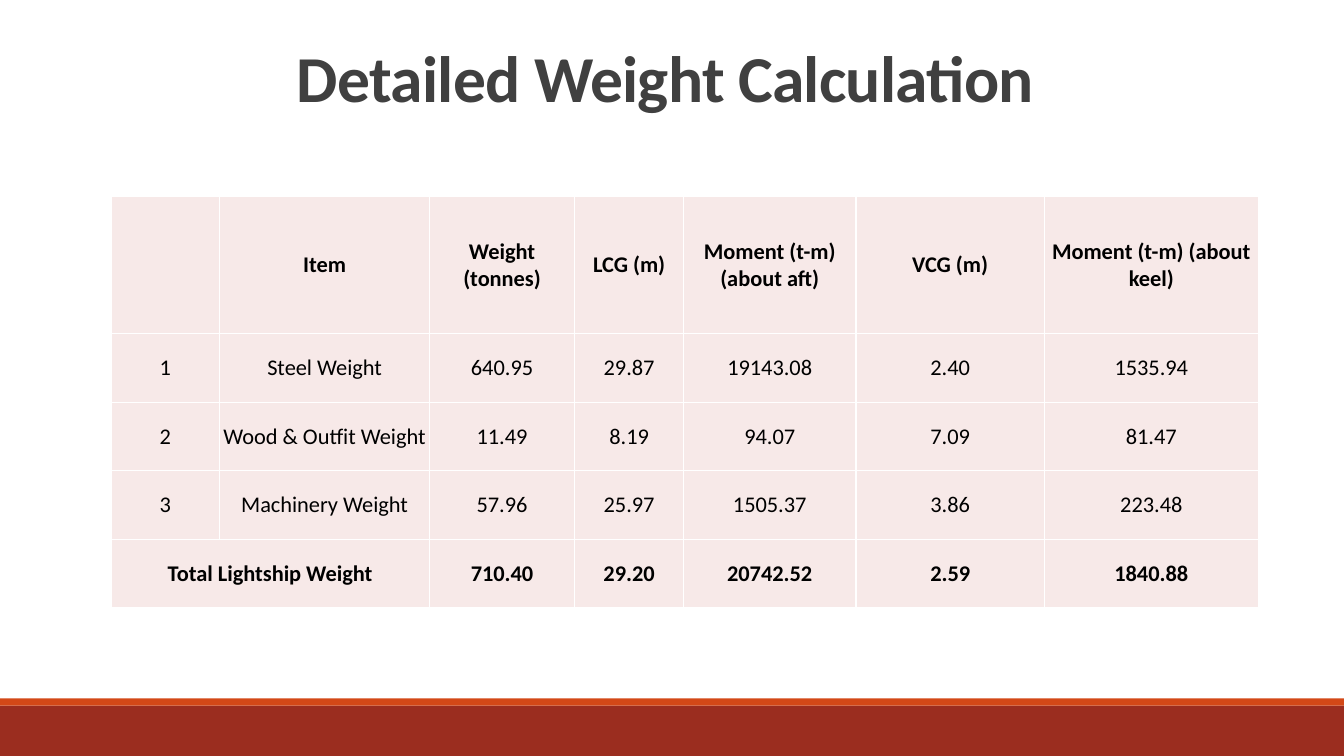
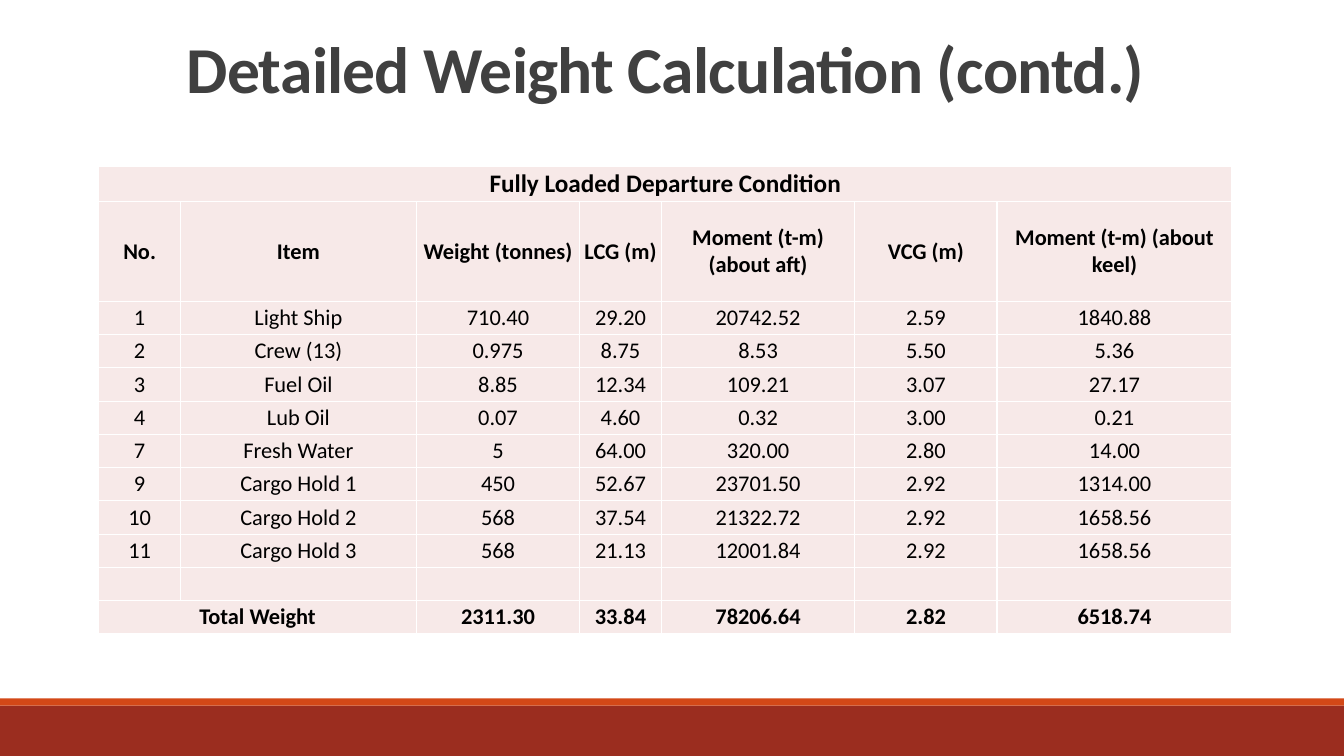
from pptx import Presentation, util as u
from pptx.dml.color import RGBColor
from pptx.enum import shapes, text
from pptx.oxml import parse_xml
from pptx.oxml.ns import nsdecls

WIDE, HIGH = 13.33, 7.5
FONT = "Calibri"
HUES = {"band": "9B2D1F", "rule": "D34817", "title": "404040",
        "ink": "000000", "cell": "F7E9E8", "grid": "FFFFFF"}
HEAD = ["Item", "Weight (tonnes)", "LCG (m)", "Moment (t-m) (about aft)",
        "VCG (m)", "Moment (t-m) (about keel)"]

# None marks a cell that joins the one on its left
LIGHT = [
    ["", *HEAD],
    ["1", "Steel Weight", "640.95", "29.87", "19143.08", "2.40", "1535.94"],
    ["2", "Wood & Outfit Weight", "11.49", "8.19", "94.07", "7.09", "81.47"],
    ["3", "Machinery Weight", "57.96", "25.97", "1505.37", "3.86", "223.48"],
    ["Total Lightship Weight", None, "710.40", "29.20", "20742.52", "2.59", "1840.88"],
]
LOADED = [
    ["Fully Loaded Departure Condition"] + [None] * 6,
    ["No.", *HEAD],
    ["1", "Light Ship", "710.40", "29.20", "20742.52", "2.59", "1840.88"],
    ["2", "Crew (13)", "0.975", "8.75", "8.53", "5.50", "5.36"],
    ["3", "Fuel Oil", "8.85", "12.34", "109.21", "3.07", "27.17"],
    ["4", "Lub Oil", "0.07", "4.60", "0.32", "3.00", "0.21"],
    ["7", "Fresh Water", "5", "64.00", "320.00", "2.80", "14.00"],
    ["9", "Cargo Hold 1", "450", "52.67", "23701.50", "2.92", "1314.00"],
    ["10", "Cargo Hold 2", "568", "37.54", "21322.72", "2.92", "1658.56"],
    ["11", "Cargo Hold 3", "568", "21.13", "12001.84", "2.92", "1658.56"],
    [""] * 7,
    ["Total Weight", None, "2311.30", "33.84", "78206.64", "2.82", "6518.74"],
]


def paint(item, hue):
    item.fill.solid()
    item.fill.fore_color.rgb = RGBColor.from_string(HUES[hue])


def write(frame, words, size=16, bold=False, hue="ink", lead=None, track=None):
    """Put one centred line of text into a frame."""
    para = frame.paragraphs[0]
    para.alignment = text.PP_ALIGN.CENTER
    if lead:
        para.line_spacing = lead
    run = para.add_run()
    run.text = words
    run.font.name, run.font.size, run.font.bold = FONT, u.Pt(size), bold
    run.font.color.rgb = RGBColor.from_string(HUES[hue])
    if track is not None:
        run.font._element.set("spc", str(round(track * 100)))


def band(slide, top, tall, hue):
    bar = slide.shapes.add_shape(shapes.MSO_SHAPE.RECTANGLE, 0, u.Inches(top),
                                 u.Inches(WIDE), u.Inches(tall))
    bar.shadow.inherit = False
    bar.line.fill.background()
    paint(bar, hue)


def page(deck, title, top):
    """Add a slide with its title and the two footer bands."""
    slide = deck.slides.add_slide(deck.slide_layouts[5])
    band(slide, 7, 0.5, "band")
    band(slide, 6.93, 0.07, "rule")
    box = slide.shapes.title
    box.left, box.top = u.Inches(1.1), u.Inches(top)
    box.width, box.height = u.Inches(11), u.Inches(1.59)
    frame = box.text_frame
    frame.vertical_anchor = text.MSO_ANCHOR.TOP
    frame.auto_size = text.MSO_AUTO_SIZE.NONE
    write(frame, title, size=46.8, bold=True, hue="title", lead=0.85, track=-0.5)
    return slide


def edge(cell):
    """Draw a thin line on all four sides of a cell."""
    props = cell._tc.get_or_add_tcPr()
    for side in "LRTB":
        props.append(parse_xml(
            f'<a:ln{side} {nsdecls("a")} w="{u.Pt(1)}"><a:solidFill>'
            f'<a:srgbClr val="{HUES["grid"]}"/></a:solidFill></a:ln{side}>'))


def dress(cell):
    edge(cell)
    paint(cell, "cell")
    cell.margin_left = cell.margin_right = cell.margin_top = cell.margin_bottom = 0
    cell.vertical_anchor = text.MSO_ANCHOR.MIDDLE


def table(slide, left, top, cols, tall, rows):
    grid = slide.shapes.add_table(len(rows), len(cols), u.Inches(left), u.Inches(top),
                                  u.Inches(sum(cols)), u.Inches(sum(tall))).table
    grid.first_row = grid.horz_banding = False
    for col, size in zip(grid.columns, cols):
        col.width = u.Inches(size)
    for row, size in zip(grid.rows, tall):
        row.height = u.Inches(size)
    for r, row in enumerate(rows):
        span = row.count(None)
        for c, words in enumerate(row):
            cell = grid.cell(r, c)
            dress(cell)
            if words:
                write(cell.text_frame, words, bold=not row[0].isdigit(),
                      size=18 if span == len(cols) - 1 else 16)
        if span:
            grid.cell(r, 0).merge(grid.cell(r, span))


def main():
    deck = Presentation()
    deck.slide_width, deck.slide_height = u.Inches(WIDE), u.Inches(HIGH)

    # Lightship weight
    slide = page(deck, "Detailed Weight Calculation", 0.44)
    table(slide, 1.1, 1.95, [1.08, 2.08, 1.44, 1.08, 1.71, 1.87, 2.12],
          [1.36] + [0.68] * 4, LIGHT)

    # Loaded weight
    slide = page(deck, "Detailed Weight Calculation (contd.)", 0.35)
    table(slide, 0.98, 1.65, [0.81, 2.34, 1.62, 0.81, 1.92, 1.41, 2.33],
          [0.35, 0.99] + [0.33] * 10, LOADED)

    deck.save("out.pptx")


if __name__ == "__main__":
    main()
